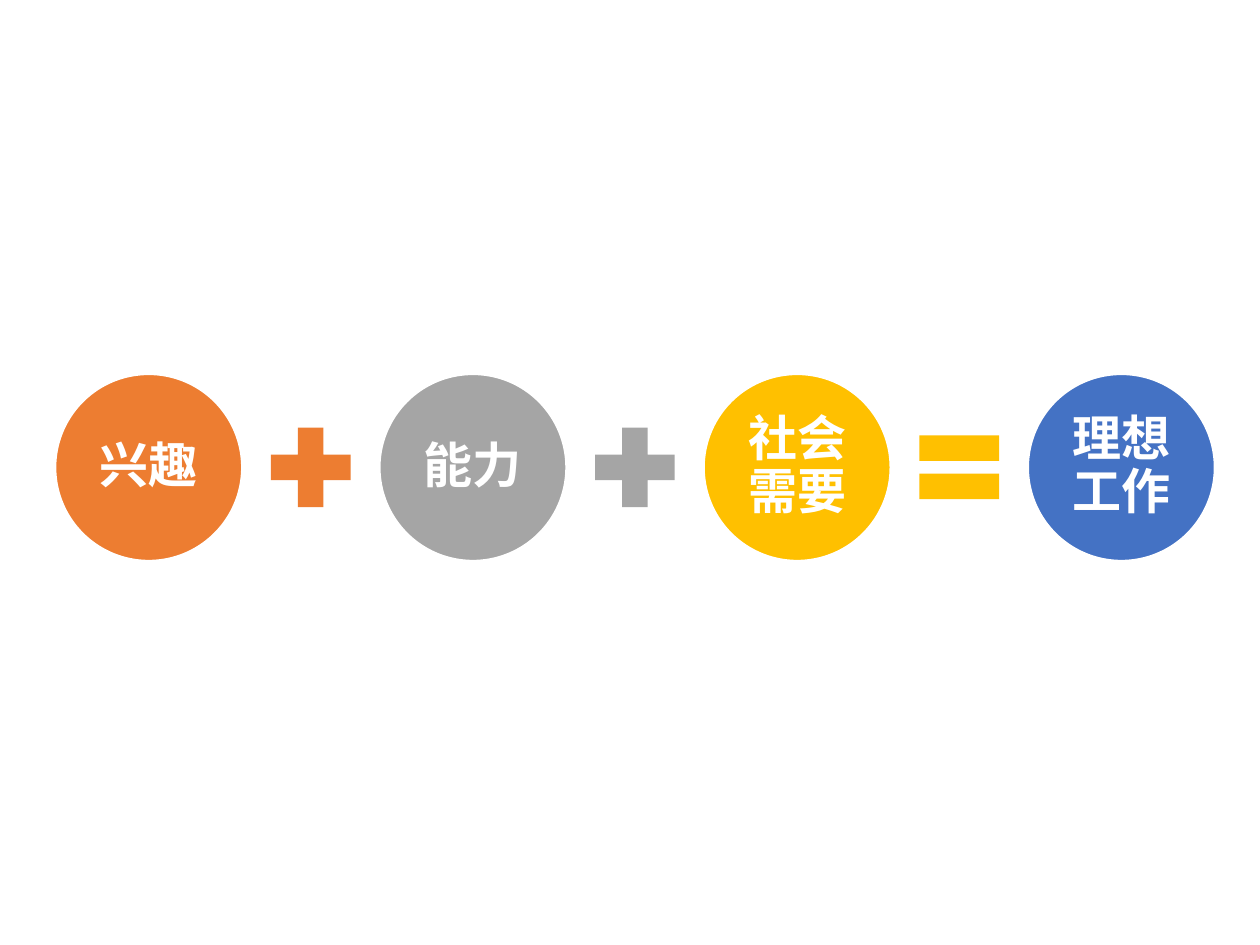
import pptx
import pptx.util
import pptx.dml.color
import pptx.enum.shapes
import pptx.enum.text
import pptx.oxml
import pptx.oxml.ns

Inches = pptx.util.Inches
Shape = pptx.enum.shapes.MSO_SHAPE

# Each term: wording, colour name, operator that follows it
TERMS = [
    ("兴趣", "orange", Shape.MATH_PLUS),
    ("能力", "gray", Shape.MATH_PLUS),
    ("社会需要", "gold", Shape.MATH_EQUAL),
    ("理想工作", "blue", None),
]

THEME = {
    "orange": "ED7D31",
    "gray": "A5A5A5",
    "gold": "FFC000",
    "blue": "4472C4",
    "white": "FFFFFF",
    "font": "Noto Sans CJK SC",
    "size": 28,
    "outline": 1,
}

SLIDE_WIDTH, SLIDE_HEIGHT = 10, 7.5
CIRCLE_SIZE = 1.48
OPERATOR_SIZE = 0.86
FIRST_LEFT, LAST_LEFT = 0.44, 8.16
CENTER_Y = 3.71
INSET = 0.04


def color(name):
    return pptx.dml.color.RGBColor.from_string(THEME[name])


def set_attributes(target, values):
    for name, value in values.items():
        setattr(target, name, value)


def add_filled_shape(slide, kind, left, size, fill_name):
    """Add a square-framed shape centred on the equation's middle line."""
    shape = slide.shapes.add_shape(
        kind, Inches(left), Inches(CENTER_Y - size / 2), Inches(size), Inches(size))
    shape.shadow.inherit = False
    shape.fill.solid()
    shape.fill.fore_color.rgb = color(fill_name)
    shape.line.fill.background()
    return shape


def add_term(slide, wording, left, fill_name):
    circle = add_filled_shape(slide, Shape.OVAL, left, CIRCLE_SIZE, fill_name)
    circle.line.color.rgb = color("white")
    circle.line.width = pptx.util.Pt(THEME["outline"])

    frame = circle.text_frame
    set_attributes(frame, {
        "word_wrap": True,
        "vertical_anchor": pptx.enum.text.MSO_ANCHOR.MIDDLE,
        "margin_left": Inches(INSET),
        "margin_top": Inches(INSET),
        "margin_right": Inches(INSET),
        "margin_bottom": Inches(INSET),
    })
    paragraph = frame.paragraphs[0]
    set_attributes(paragraph, {
        "alignment": pptx.enum.text.PP_ALIGN.CENTER,
        "line_spacing": 0.9,
    })
    run = paragraph.add_run()
    run.text = wording
    set_attributes(run.font, {
        "name": THEME["font"],
        "size": pptx.util.Pt(THEME["size"]),
        "bold": True,
    })
    run.font.color.rgb = color("white")
    east_asian = pptx.oxml.parse_xml(
        f'<a:ea {pptx.oxml.ns.nsdecls("a")} typeface="{THEME["font"]}"/>')
    run.font._element.append(east_asian)


def main():
    presentation = pptx.Presentation()
    presentation.slide_width = Inches(SLIDE_WIDTH)
    presentation.slide_height = Inches(SLIDE_HEIGHT)
    slide = presentation.slides.add_slide(presentation.slide_layouts[6])
    slide.background.fill.solid()
    slide.background.fill.fore_color.rgb = color("white")

    pitch = (LAST_LEFT - FIRST_LEFT) / (len(TERMS) - 1)
    gap = (pitch - CIRCLE_SIZE - OPERATOR_SIZE) / 2
    for index, (wording, fill_name, operator) in enumerate(TERMS):
        left = FIRST_LEFT + index * pitch
        add_term(slide, wording, left, fill_name)
        if operator is not None:
            add_filled_shape(
                slide, operator, left + CIRCLE_SIZE + gap, OPERATOR_SIZE, fill_name)

    presentation.save("out.pptx")


if __name__ == "__main__":
    main()
